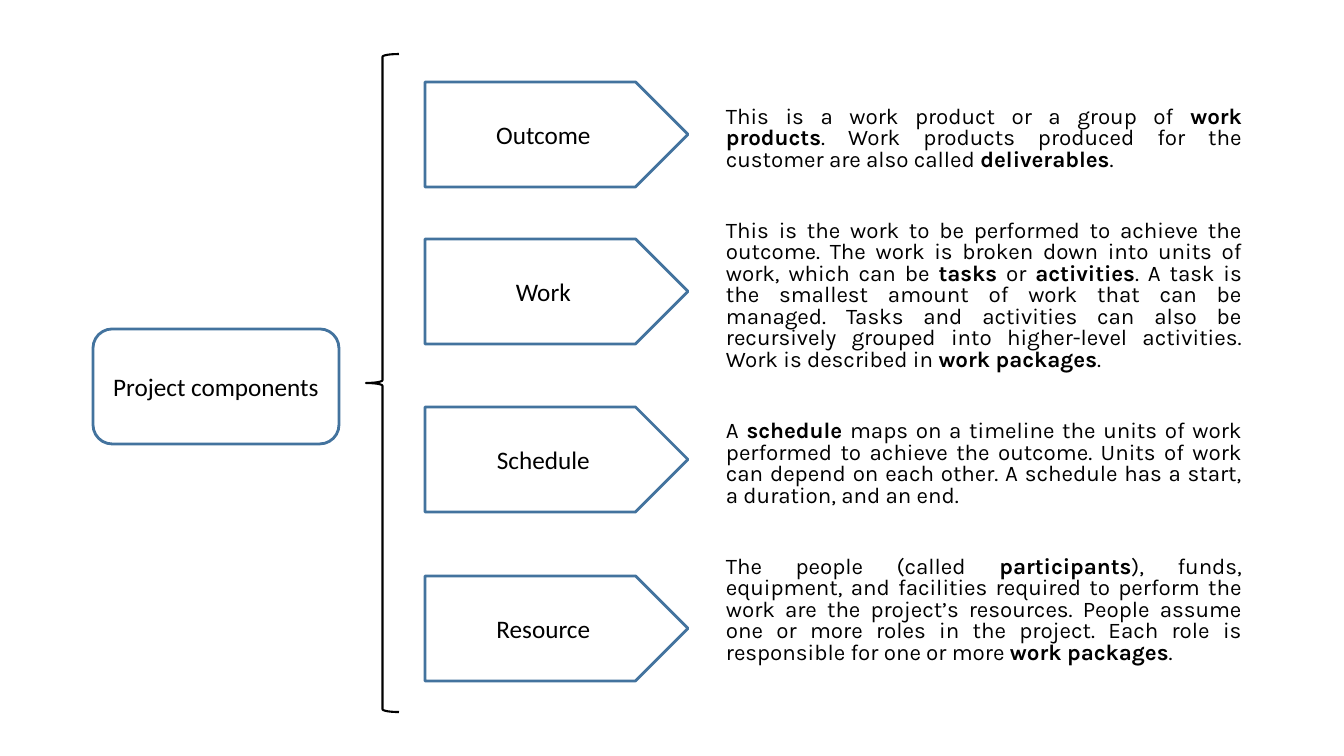
from pptx import Presentation
from pptx import util as u
from pptx.dml.color import RGBColor
from pptx.enum import shapes, text

COLORS = {"ink": "000000", "paper": "FFFFFF", "edge": "43739E"}
LABEL = {"name": "Calibri", "size": u.Pt(18)}
BODY = {"name": "Karla", "size": u.Pt(16)}
STEPS = [
    ("Outcome", 82, [
        ("This is a work product or a group of ", False), ("work products", True),
        (". Work products produced for the customer are also called ", False),
        ("deliverables", True), (".", False)]),
    ("Work", 239, [
        ("This is the work to be performed to achieve the outcome. The work is "
         "broken down into units of work, which can be ", False),
        ("tasks", True), (" or ", False), ("activities", True),
        (". A task is the smallest amount of work that can be managed. Tasks and "
         "activities can also be recursively grouped into higher-level activities. "
         "Work is described in ", False),
        ("work packages", True), (".", False)]),
    ("Schedule", 407, [
        ("A ", False), ("schedule", True),
        (" maps on a timeline the units of work performed to achieve the outcome. "
         "Units of work can depend on each other. A schedule has a start, a "
         "duration, and an end.", False)]),
    ("Resource", 576, [
        ("The people (called ", False), ("participants", True),
        ("), funds, equipment, and facilities required to perform the work are the "
         "project’s resources. People assume one or more roles in the project. Each "
         "role is responsible for one or more ", False),
        ("work packages", True), (".", False)]),
]


def px(n):
    return u.Emu(round(n * 914400 / 100.8))


def apply(obj, values):
    for key, value in values.items():
        setattr(obj, key, value)


class Diagram:
    """Draws styled elements on one slide, measured in px."""

    def __init__(self, prs):
        self.s = prs.slides.add_slide(prs.slide_layouts[6])

    def color(self, name):
        return RGBColor.from_string(COLORS[name])

    def run(self, p, words, font, bold=False):
        r = p.add_run()
        r.text = words
        apply(r.font, {**font, "bold": bold})
        r.font.color.rgb = self.color("ink")

    def shape(self, kind, box, edge, width):
        sp = self.s.shapes.add_shape(kind, *map(px, box))
        sp.shadow.inherit = False
        sp.line.color.rgb = self.color(edge)
        sp.line.width = u.Pt(width)
        return sp

    def node(self, kind, box, label):
        sp = self.shape(kind, box, "edge", 2)
        sp.fill.solid()
        sp.fill.fore_color.rgb = self.color("paper")
        tf = sp.text_frame
        apply(tf, {"word_wrap": True, "vertical_anchor": text.MSO_ANCHOR.MIDDLE})
        p = tf.paragraphs[0]
        p.alignment = text.PP_ALIGN.CENTER
        self.run(p, label, LABEL)

    def brace(self, box):
        self.shape(shapes.MSO_SHAPE.LEFT_BRACE, box, "ink", 1.5).fill.background()

    def body(self, box, paragraphs):
        tf = self.s.shapes.add_textbox(*map(px, box)).text_frame
        apply(tf, {"word_wrap": True, "margin_left": 0, "margin_right": 0,
                   "margin_top": 0, "margin_bottom": 0})
        for i, runs in enumerate(paragraphs):
            p = tf.add_paragraph() if i else tf.paragraphs[0]
            apply(p, {"alignment": text.PP_ALIGN.JUSTIFY, "line_spacing": 0.8,
                      "space_before": u.Pt(35.5 if i else 0)})
            for words, bold in runs:
                self.run(p, words, BODY, bold)


def main():
    prs = Presentation()
    apply(prs, {"slide_width": px(1344), "slide_height": px(756)})
    d = Diagram(prs)
    d.body((726, 107, 516, 570), [runs for _, _, runs in STEPS])
    d.node(shapes.MSO_SHAPE.ROUNDED_RECTANGLE, (93, 329, 246, 115), "Project components")
    for label, top, _ in STEPS:
        d.node(shapes.MSO_SHAPE.PENTAGON, (425, top, 263, 105), label)
    d.brace((366, 54, 33, 658))
    prs.save("out.pptx")


if __name__ == "__main__":
    main()
